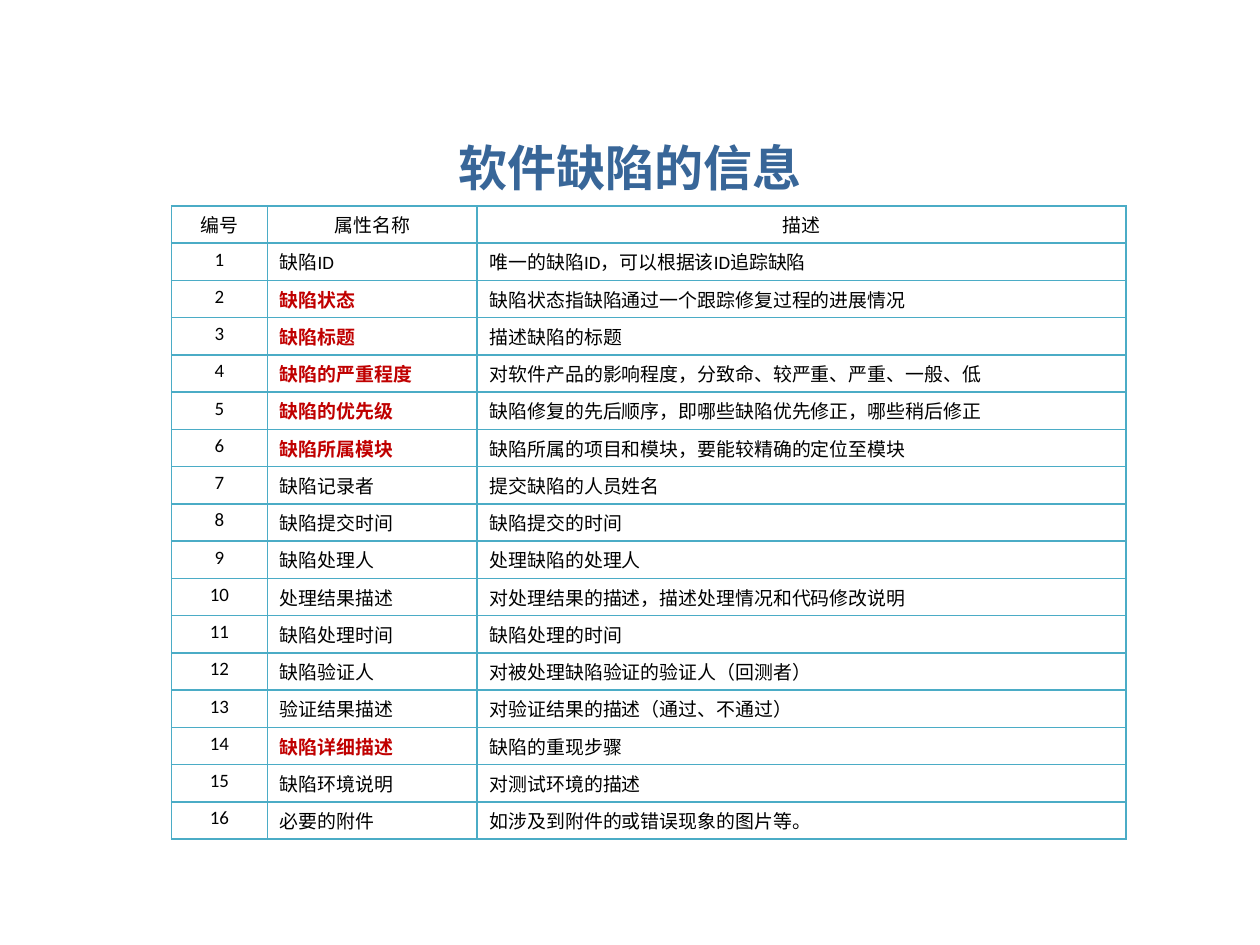
from lxml.etree import fromstring
from pptx import Presentation
from pptx.dml.color import RGBColor
from pptx.enum.text import MSO_ANCHOR, PP_ALIGN
from pptx.oxml.ns import nsdecls
from pptx.util import Cm, Pt

HEADERS = ["编号", "属性名称", "描述"]
ATTRIBUTES = [
    ("缺陷ID", "唯一的缺陷ID，可以根据该ID追踪缺陷"),
    ("缺陷状态", "缺陷状态指缺陷通过一个跟踪修复过程的进展情况"),
    ("缺陷标题", "描述缺陷的标题"),
    ("缺陷的严重程度", "对软件产品的影响程度，分致命、较严重、严重、一般、低"),
    ("缺陷的优先级", "缺陷修复的先后顺序，即哪些缺陷优先修正，哪些稍后修正"),
    ("缺陷所属模块", "缺陷所属的项目和模块，要能较精确的定位至模块"),
    ("缺陷记录者", "提交缺陷的人员姓名"),
    ("缺陷提交时间", "缺陷提交的时间"),
    ("缺陷处理人", "处理缺陷的处理人"),
    ("处理结果描述", "对处理结果的描述，描述处理情况和代码修改说明"),
    ("缺陷处理时间", "缺陷处理的时间"),
    ("缺陷验证人", "对被处理缺陷验证的验证人（回测者）"),
    ("验证结果描述", "对验证结果的描述（通过、不通过）"),
    ("缺陷详细描述", "缺陷的重现步骤"),
    ("缺陷环境说明", "对测试环境的描述"),
    ("必要的附件", "如涉及到附件的或错误现象的图片等。"),
]
KEY_ROWS = {2, 3, 4, 5, 6, 14}


def rgb(value):
    return RGBColor.from_string(value)


class SlideBuilder:
    title_font, body_font = "Cabin", "Calibri"
    title_color, text_color, key_color = "386698", "000000", "C00000"
    border_color, border_width = "4BACC6", Pt(1)

    def __init__(self, slide):
        self.s = slide

    def text(self, tf, text, font, size, color, bold, align):
        tf.text = text
        p = tf.paragraphs[0]
        p.alignment = align
        r = p.runs[0]
        r.font.name, r.font.size, r.font.bold = font, Pt(size), bold
        r.font.color.rgb = rgb(color)

    def title(self, text, left, top, width, height):
        sp = self.s.shapes.title
        sp.left, sp.top, sp.width, sp.height = left, top, width, height
        self.text(sp.text_frame, text, self.title_font, 28,
                  self.title_color, True, PP_ALIGN.CENTER)
        sp.text_frame.vertical_anchor = MSO_ANCHOR.MIDDLE

    def border(self, cell):
        tc_pr = cell._tc.get_or_add_tcPr()
        for i, side in enumerate("LRTB"):
            tc_pr.insert(i, fromstring(
                f'<a:ln{side} {nsdecls("a")} w="{self.border_width}"><a:solidFill>'
                f'<a:srgbClr val="{self.border_color}"/></a:solidFill></a:ln{side}>'))

    def cell(self, cell, text, key, centered):
        cell.margin_left = cell.margin_right = Cm(0.25)
        cell.margin_top = cell.margin_bottom = Cm(0.1)
        self.text(cell.text_frame, text, self.body_font, 10.8,
                  self.key_color if key else self.text_color, key,
                  PP_ALIGN.CENTER if centered else PP_ALIGN.LEFT)
        cell.fill.background()
        self.border(cell)

    def table(self, rows, key_rows, left, top, widths, height):
        table = self.s.shapes.add_table(
            len(rows), len(widths), left, top, sum(widths), height).table
        table.first_row = table.horz_banding = False
        for column, width in zip(table.columns, widths):
            column.width = width
        for i, row in enumerate(rows):
            for j, text in enumerate(row):
                self.cell(table.cell(i, j), text, j == 1 and i in key_rows,
                          i == 0 or j == 0)


def main():
    prs = Presentation()
    prs.slide_width, prs.slide_height = Cm(25.4), Cm(19.05)
    builder = SlideBuilder(prs.slides.add_slide(prs.slide_layouts[5]))
    builder.title("软件缺陷的信息", Cm(1.27), Cm(2.54), Cm(22.86), Cm(1.63))
    rows = [HEADERS] + [(str(n), *row) for n, row in enumerate(ATTRIBUTES, 1)]
    builder.table(rows, KEY_ROWS, Cm(3.46), Cm(4.15),
                  [Cm(1.93), Cm(4.23), Cm(13.08)], Cm(12.12))
    prs.save("out.pptx")


if __name__ == "__main__":
    main()
